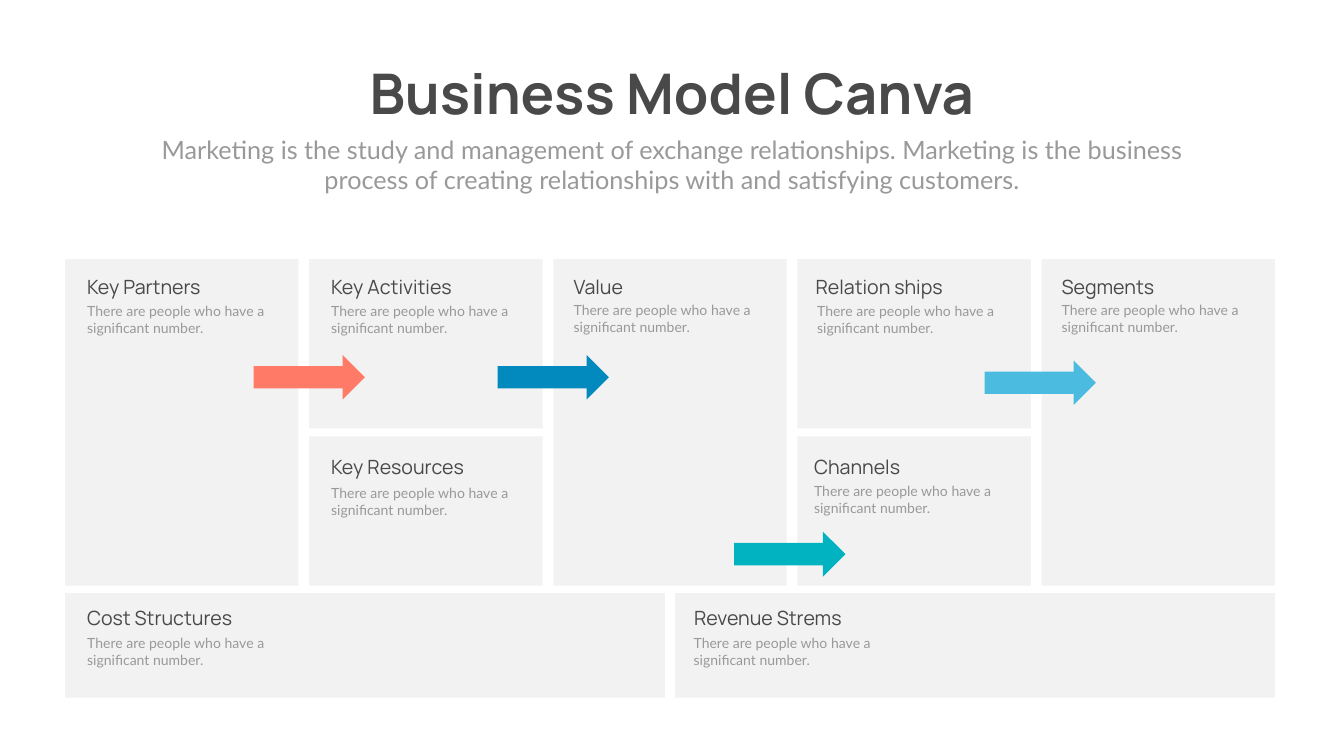
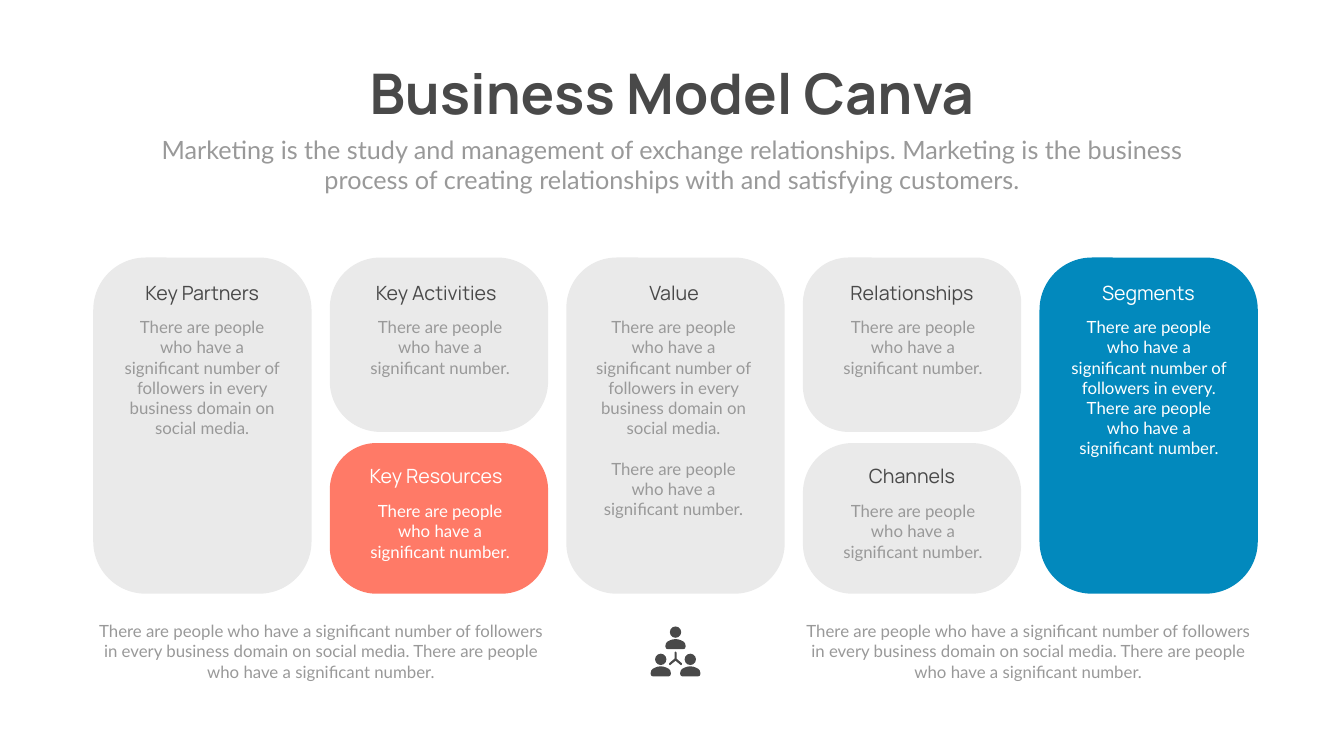
import dataclasses
import typing

import pptx
import pptx.dml.color
import pptx.enum.shapes
import pptx.enum.text
import pptx.util

Pt = pptx.util.Pt
PRESET = pptx.enum.shapes.MSO_SHAPE
ALIGN = pptx.enum.text.PP_ALIGN

# Shared look
COLOURS = {
    "ink": "494949",
    "grey": "999999",
    "white": "FFFFFF",
    "panel": "F2F2F2",
    "card": "EAEAEA",
    "coral": "FF7A67",
    "blue": "0289BD",
    "teal": "01B2C0",
    "sky": "4BBBDF",
}
TITLE = "Business Model Canva"
SUBTITLE = (
    "Marketing is the study and management of exchange relationships. "
    "Marketing is the business process of creating relationships with "
    "and satisfying customers."
)
SHORT = "There are people who have a significant number."
LONG = (
    "There are people who have a significant number of followers "
    "in every business domain on social media."
)
NOTE_LINE = 29.04


class Box(typing.NamedTuple):
    left: float
    top: float
    width: float
    height: float

    def lengths(self) -> list:
        return [Pt(value) for value in self]


class TextStyle(typing.NamedTuple):
    font: str
    size: float
    colour: str = "grey"
    alignment: typing.Any = ALIGN.LEFT
    bold: bool = False


@dataclasses.dataclass(frozen=True)
class Grid:
    left: float
    pitch: float
    width: float
    rows: dict

    def cell(self, column: int, row: str) -> Box:
        top, height = self.rows[row]
        return Box(self.left + column * self.pitch, top, self.width, height)


@dataclasses.dataclass(frozen=True)
class Panel:
    heading: str
    column: int
    row: str
    heading_left: float
    note_left: float
    note_top: float
    grid: Grid
    note_width: float = 276.5


@dataclasses.dataclass(frozen=True)
class Card:
    heading: str
    column: int
    row: str
    radius: float
    notes: tuple = (SHORT,)
    lines: int = 3
    fill: str = "card"
    heading_colour: str = "ink"
    note_colour: str = "grey"


class Arrow(typing.NamedTuple):
    left: float
    top: float
    colour: str


TITLE_STYLE = TextStyle("Manrope", 80, "ink", ALIGN.CENTER, True)
SUBTITLE_STYLE = TextStyle("Lato", 36, alignment=ALIGN.CENTER)
HEADING_STYLE = TextStyle("Manrope", 28, "ink")
PANEL_NOTE_STYLE = TextStyle("Lato", 20)
CARD_NOTE_STYLE = TextStyle("Lato", 24, alignment=ALIGN.CENTER)


# Drawing helpers
def paint(shape, colour: str) -> None:
    shape.shadow.inherit = False
    shape.fill.solid()
    shape.fill.fore_color.rgb = pptx.dml.color.RGBColor.from_string(COLOURS[colour])
    shape.line.fill.background()


def add_preset(shapes, preset, box: Box, colour: str, radius: float | None = None):
    shape = shapes.add_shape(preset, *box.lengths())
    if radius is not None:
        shape.adjustments[0] = radius
    paint(shape, colour)
    return shape


def write(shape, texts: typing.Sequence[str], style: TextStyle) -> None:
    frame = shape.text_frame
    frame.word_wrap = True
    frame.auto_size = pptx.enum.text.MSO_AUTO_SIZE.NONE
    frame.vertical_anchor = pptx.enum.text.MSO_ANCHOR.TOP
    frame.text = "\n".join(texts)
    for index, paragraph in enumerate(frame.paragraphs):
        paragraph.alignment = style.alignment
        paragraph.space_before = Pt(NOTE_LINE if index else 0)
        font = paragraph.font
        font.name = style.font
        font.size = Pt(style.size)
        font.bold = style.bold
        font.color.rgb = pptx.dml.color.RGBColor.from_string(COLOURS[style.colour])


def add_text(slide, box: Box, texts: typing.Sequence[str], style: TextStyle) -> None:
    write(slide.shapes.add_textbox(*box.lengths()), texts, style)


def add_titled_slide(presentation):
    slide = presentation.slides.add_slide(presentation.slide_layouts[0])
    parts = (
        (slide.shapes.title, Box(484.56, 80.64, 950.4, 104.4), TITLE, TITLE_STYLE),
        (slide.placeholders[1], Box(210.24, 187.92, 1499.04, 94.32),
         SUBTITLE, SUBTITLE_STYLE),
    )
    for shape, box, text, style in parts:
        shape.left, shape.top, shape.width, shape.height = box.lengths()
        write(shape, [text], style)
    return slide


def add_symmetric(shapes, centre: float, top: float, half: typing.Sequence) -> None:
    """Draw an outline from its right half, mirrored about the centre."""
    outline = [*half, *((-x, y) for x, y in reversed(half))]
    points = [(Pt(centre + x), Pt(top + y)) for x, y in outline]
    builder = shapes.build_freeform(*points[0], scale=1.0)
    builder.add_line_segments(points[1:], close=True)
    paint(builder.convert_to_shape(), "ink")


# Slide 1: square panels with arrows
PANEL_GRID = Grid(92.88, 348.66, 333.36, {
    "full": (370.08, 466.56),
    "upper": (370.08, 241.92),
    "lower": (623.52, 213.12),
})
BASE_GRID = Grid(92.88, 871.2, 856.8, {"base": (847.44, 149.04)})
HEADING_TOPS = {"full": 389.52, "upper": 389.52, "lower": 646.56, "base": 862.56}
PANELS = (
    Panel("Key Partners", 0, "full", 117.36, 117.36, 429.12, PANEL_GRID),
    Panel("Key Activities", 1, "upper", 465.84, 465.84, 429.12, PANEL_GRID),
    Panel("Key Resources", 1, "lower", 465.84, 465.84, 688.32, PANEL_GRID),
    Panel("Value", 2, "full", 812.16, 812.16, 426.96, PANEL_GRID),
    Panel("Relation ships", 3, "upper", 1157.76, 1159.92, 429.12, PANEL_GRID),
    Panel("Channels", 3, "lower", 1155.6, 1155.6, 686.16, PANEL_GRID),
    Panel("Segments", 4, "full", 1509.12, 1509.12, 426.96, PANEL_GRID),
    Panel("Cost Structures", 0, "base", 117.36, 117.36, 902.88, BASE_GRID, 313.2),
    Panel("Revenue Strems", 1, "base", 984.24, 983.52, 902.88, BASE_GRID, 313.2),
)
ARROWS = (
    Arrow(362.16, 506.88, "coral"),
    Arrow(710.64, 506.88, "blue"),
    Arrow(1048.32, 759.6, "teal"),
    Arrow(1406.16, 514.8, "sky"),
)


def build_panel_slide(presentation) -> None:
    slide = add_titled_slide(presentation)
    for panel in PANELS:
        add_preset(slide.shapes, PRESET.ROUNDED_RECTANGLE,
                   panel.grid.cell(panel.column, panel.row), "panel", 0)
        heading_box = Box(panel.heading_left, HEADING_TOPS[panel.row], 260, 40.32)
        add_text(slide, heading_box, [panel.heading], HEADING_STYLE)
        note_box = Box(panel.note_left, panel.note_top, panel.note_width, 55.44)
        add_text(slide, note_box, [SHORT], PANEL_NOTE_STYLE)
    for arrow in ARROWS:
        add_preset(slide.shapes, PRESET.RIGHT_ARROW,
                   Box(arrow.left, arrow.top, 159.12, 64.08), arrow.colour)


# Slide 2: rounded cards with captions and a team icon
CARD_GRID = Grid(133.2, 337.86, 311.76, {
    "full": (367.92, 480.24),
    "upper": (367.92, 249.12),
    "lower": (632.88, 215.28),
})
CARD_HEADING_LEFTS = (179.28, 513.36, 853.2, 1193.04, 1530.72)
CARD_NOTE_LEFTS = (169.92, 509.76, 843.12, 1185.12, 1522.08)
CARD_TEXT_TOPS = {
    "full": (397.44, 449.28),
    "upper": (397.44, 449.28),
    "lower": (658.8, 712.08),
}
SEGMENTS_NOTE = (
    "There are people who have a significant number of followers in every. " + SHORT
)
CARDS = (
    Card("Key Partners", 0, "full", 0.24, (LONG,), 6),
    Card("Key Activities", 1, "upper", 0.29),
    Card("Key Resources", 1, "lower", 0.31, fill="coral",
         heading_colour="white", note_colour="white"),
    Card("Value", 2, "full", 0.23, (LONG, SHORT), 10),
    Card("Relationships", 3, "upper", 0.26),
    Card("Channels", 3, "lower", 0.33),
    Card("Segments", 4, "full", 0.24, (SEGMENTS_NOTE,), 7, "blue", "white", "white"),
)
CAPTION_LEFTS = (133.92, 1144.08)
ICON_CENTRE = 964.8
PEOPLE = ((0, 894.96), (-21.1, 933.84), (21.1, 933.84))
SHOULDERS = ((0, 0), (4.4, 0.6), (8, 1.9), (11.2, 3.5), (13.5, 6),
             (14.4, 9.5), (14.4, 11), (13.4, 13.6), (11.2, 14.4))
LINK = ((0.6, 0), (1.44, 1.4), (1.44, 10), (8.9, 16.5),
        (9.2, 18.5), (7.9, 19.4), (7.2, 18.9), (0, 13))


def add_team_icon(slide) -> None:
    shapes = slide.shapes.add_group_shape().shapes
    for offset, top in PEOPLE:
        centre = ICON_CENTRE + offset
        add_preset(shapes, PRESET.OVAL, Box(centre - 8.1, top, 16.2, 16.2), "ink")
        add_symmetric(shapes, centre, top + 18, SHOULDERS)
    add_symmetric(shapes, ICON_CENTRE, 930.96, LINK)


def build_card_slide(presentation) -> None:
    slide = add_titled_slide(presentation)
    for card in CARDS:
        add_preset(slide.shapes, PRESET.ROUNDED_RECTANGLE,
                   CARD_GRID.cell(card.column, card.row), card.fill, card.radius)
        heading_top, note_top = CARD_TEXT_TOPS[card.row]
        add_text(slide,
                 Box(CARD_HEADING_LEFTS[card.column], heading_top, 218.88, 41.04),
                 [card.heading],
                 HEADING_STYLE._replace(colour=card.heading_colour,
                                        alignment=ALIGN.CENTER))
        add_text(slide,
                 Box(CARD_NOTE_LEFTS[card.column], note_top, 237.6,
                     7.2 + card.lines * NOTE_LINE),
                 card.notes, CARD_NOTE_STYLE._replace(colour=card.note_colour))
    for left in CAPTION_LEFTS:
        add_text(slide, Box(left, 883.44, 648.72, 94.32),
                 [f"{LONG} {SHORT}"], CARD_NOTE_STYLE)
    add_team_icon(slide)


def main() -> None:
    presentation = pptx.Presentation()
    presentation.slide_width = Pt(1919.52)
    presentation.slide_height = Pt(1080)
    build_panel_slide(presentation)
    build_card_slide(presentation)
    presentation.save("out.pptx")


if __name__ == "__main__":
    main()
